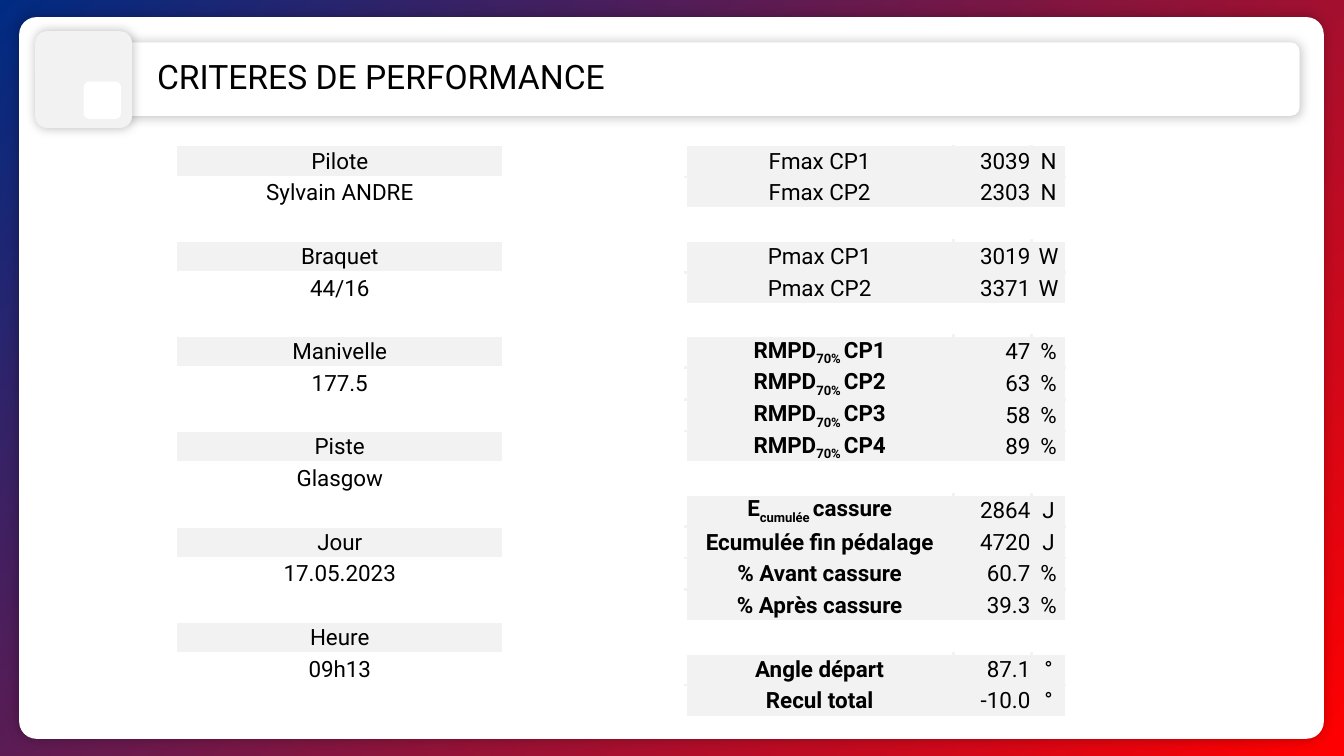
"""Build the performance criteria slide for a track cycling start."""
import pptx
import pptx.util
import pptx.dml.color
import pptx.enum.shapes
import pptx.enum.text
import pptx.oxml
import pptx.oxml.ns

TITLE = "CRITERES DE PERFORMANCE"
SESSION = [
    ("Pilote", "Sylvain ANDRE"),
    ("Braquet", "44/16"),
    ("Manivelle", "177.5"),
    ("Piste", "Glasgow"),
    ("Jour", "17.05.2023"),
    ("Heure", "09h13"),
]
MEASURES = [
    (False, [("Fmax CP1", "3039", "N"), ("Fmax CP2", "2303", "N")]),
    (False, [("Pmax CP1", "3019", "W"), ("Pmax CP2", "3371", "W")]),
    (True, [("RMPD|70% |CP1", "47", "%"), ("RMPD|70% |CP2", "63", "%"),
            ("RMPD|70% |CP3", "58", "%"), ("RMPD|70% |CP4", "89", "%")]),
    (True, [("E|cumulée |cassure", "2864", "J"), ("Ecumulée fin pédalage", "4720", "J"),
            ("% Avant cassure", "60.7", "%"), ("% Après cassure", "39.3", "%")]),
    (True, [("Angle départ", "87.1", "°"), ("Recul total", "-10.0", "°")]),
]
PANELS = [
    ((0.19, 0.17, 12.94, 7.16), 0.024, "white", True),
    ((0.99, 0.42, 11.9, 0.73), 0.121, "white", True),
    ((0.35, 0.31, 0.96, 0.96), 0.121, "grey", True),
    ((0.83, 0.81, 0.37, 0.37), 0.151, "white", False),
]
COLUMNS = [3.24, 1.81, 2.66, 0.77, 0.34]
TABLE_BOX = (1.75, 1.44, sum(COLUMNS), 5.67)
THEME = {"font": "Roboto", "title": 24, "body": 16, "text": "000000", "white": "FFFFFF",
         "grey": "F2F2F2", "red": "FF0000", "blue": "002B82", "outer": 1, "inner": 2.25}

Inches, Pt = pptx.util.Inches, pptx.util.Pt
ALIGN = pptx.enum.text.PP_ALIGN
qn, nsdecls = pptx.oxml.ns.qn, pptx.oxml.ns.nsdecls


def rgb(name):
    return pptx.dml.color.RGBColor.from_string(THEME[name])


def xml(tag, attrs, inner=""):
    return pptx.oxml.parse_xml(f"<a:{tag} {nsdecls('a')} {attrs}>{inner}</a:{tag}>")


def write(tf, text, size="body", bold=False, align=None):
    p = tf.paragraphs[0]
    p.alignment = align
    for i, part in enumerate(text.split("|")):
        r = p.add_run()
        r.text = part
        r.font.name, r.font.size, r.font.bold = THEME["font"], Pt(THEME[size]), bold
        r.font.color.rgb = rgb("text")
        if i % 2:
            r._r.get_or_add_rPr().set("baseline", "-25000")


def add_panel(s, box, radius, fill, shadow):
    kind = pptx.enum.shapes.MSO_SHAPE.ROUNDED_RECTANGLE
    sp = s.shapes.add_shape(kind, *map(Inches, box))
    sp.adjustments[0] = radius
    sp.fill.solid()
    sp.fill.fore_color.rgb = rgb(fill)
    sp.line.fill.background()
    sp.shadow.inherit = False
    if shadow:
        colour = f'<a:srgbClr val="{THEME["text"]}"><a:alpha val="25000"/></a:srgbClr>'
        sp.element.spPr.find(qn("a:effectLst")).append(
            xml("outerShdw", f'blurRad="{Pt(8)}" dist="0" dir="0" algn="ctr" rotWithShape="0"', colour))


def table_content():
    cells, row = {}, 0
    for i, (label, value) in enumerate(SESSION):
        cells[3 * i, 0] = (label, False, ALIGN.CENTER, "grey")
        cells[3 * i + 1, 0] = (value, False, ALIGN.CENTER, "white")
    for bold, lines in MEASURES:
        for label, value, unit in lines:
            cells[row, 2] = (label, bold, ALIGN.CENTER, "grey")
            cells[row, 3] = (value, False, ALIGN.RIGHT, "grey")
            cells[row, 4] = (unit, False, ALIGN.CENTER, "grey")
            row += 1
        row += 1
    return cells, row - 1


def add_table(s):
    cells, count = table_content()
    table = s.shapes.add_table(count, len(COLUMNS), *map(Inches, TABLE_BOX)).table
    table.first_row = table.horz_banding = False
    for col, width in zip(table.columns, COLUMNS):
        col.width = Inches(width)

    def fill_at(r, c):
        return cells.get((r, c), ("", False, None, "white"))[3]

    for r in range(count):
        table.rows[r].height = Inches(TABLE_BOX[3] / count)
        for c in range(len(COLUMNS)):
            cell = table.cell(r, c)
            cell.margin_left = cell.margin_top = cell.margin_right = Inches(0.01)
            cell.margin_bottom = 0
            cell.vertical_anchor = pptx.enum.text.MSO_ANCHOR.MIDDLE
            cell.fill.solid()
            cell.fill.fore_color.rgb = rgb(fill_at(r, c))
            if (r, c) in cells:
                text, bold, align, _ = cells[r, c]
                write(cell.text_frame, text, bold=bold, align=align)
            else:
                cell.text_frame.paragraphs[0]._p.append(xml("endParaRPr", f'sz="{THEME["body"] * 100}"'))
            sides = [("L", r, c - 1), ("R", r, c + 1), ("T", r - 1, c), ("B", r + 1, c)]
            for i, (side, nr, nc) in enumerate(sides):
                inside = 0 <= nr < count and 0 <= nc < len(COLUMNS)
                width = Pt(THEME["inner" if inside else "outer"])
                joined = fill_at(r, c) == fill_at(nr, nc) == "grey"
                colour = THEME["grey" if joined else "white"]
                cell._tc.tcPr.insert(i, xml(f"ln{side}", f'w="{width}"',
                                            f'<a:solidFill><a:srgbClr val="{colour}"/></a:solidFill>'))


def set_background(s):
    fill = s.background.fill
    fill.gradient()
    for stop, position, name in zip(fill.gradient_stops, (0, 1), ("red", "blue")):
        stop.position = position
        stop.color.rgb = rgb(name)
    grad = s.element.find(".//" + qn("a:gradFill"))
    grad.replace(grad.find(qn("a:lin")),
                 xml("path", 'path="circle"', '<a:fillToRect l="100000" t="100000"/>'))


prs = pptx.Presentation()
prs.slide_width, prs.slide_height = Inches(13.33), Inches(7.5)
s = prs.slides.add_slide(prs.slide_layouts[6])
set_background(s)
for panel in PANELS:
    add_panel(s, *panel)
add_table(s)
tf = s.shapes.add_textbox(*map(Inches, (1.46, 0.51, 4.7, 0.5))).text_frame
tf.word_wrap = False
tf.auto_size = pptx.enum.text.MSO_AUTO_SIZE.SHAPE_TO_FIT_TEXT
write(tf, TITLE, size="title")
prs.save("out.pptx")
